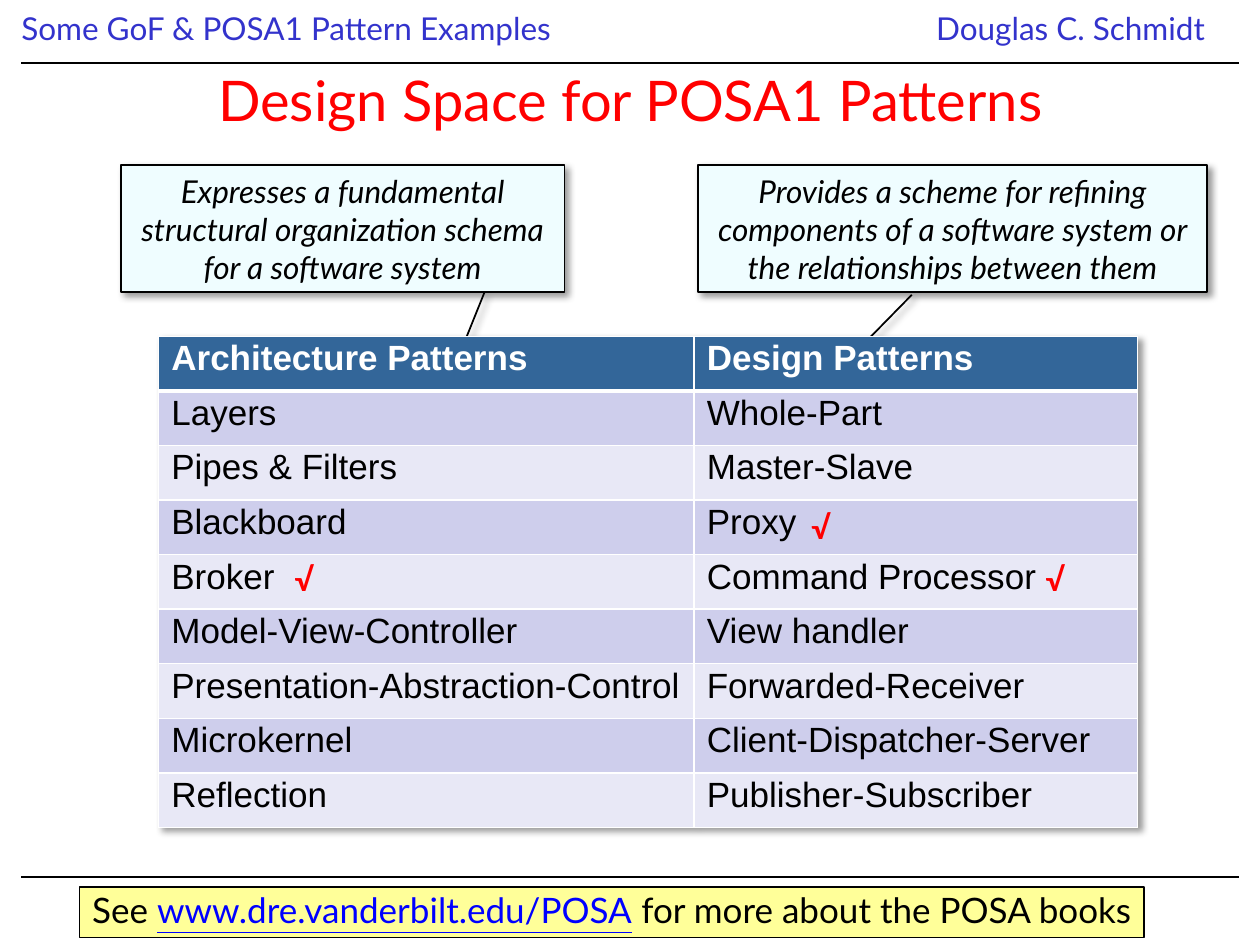
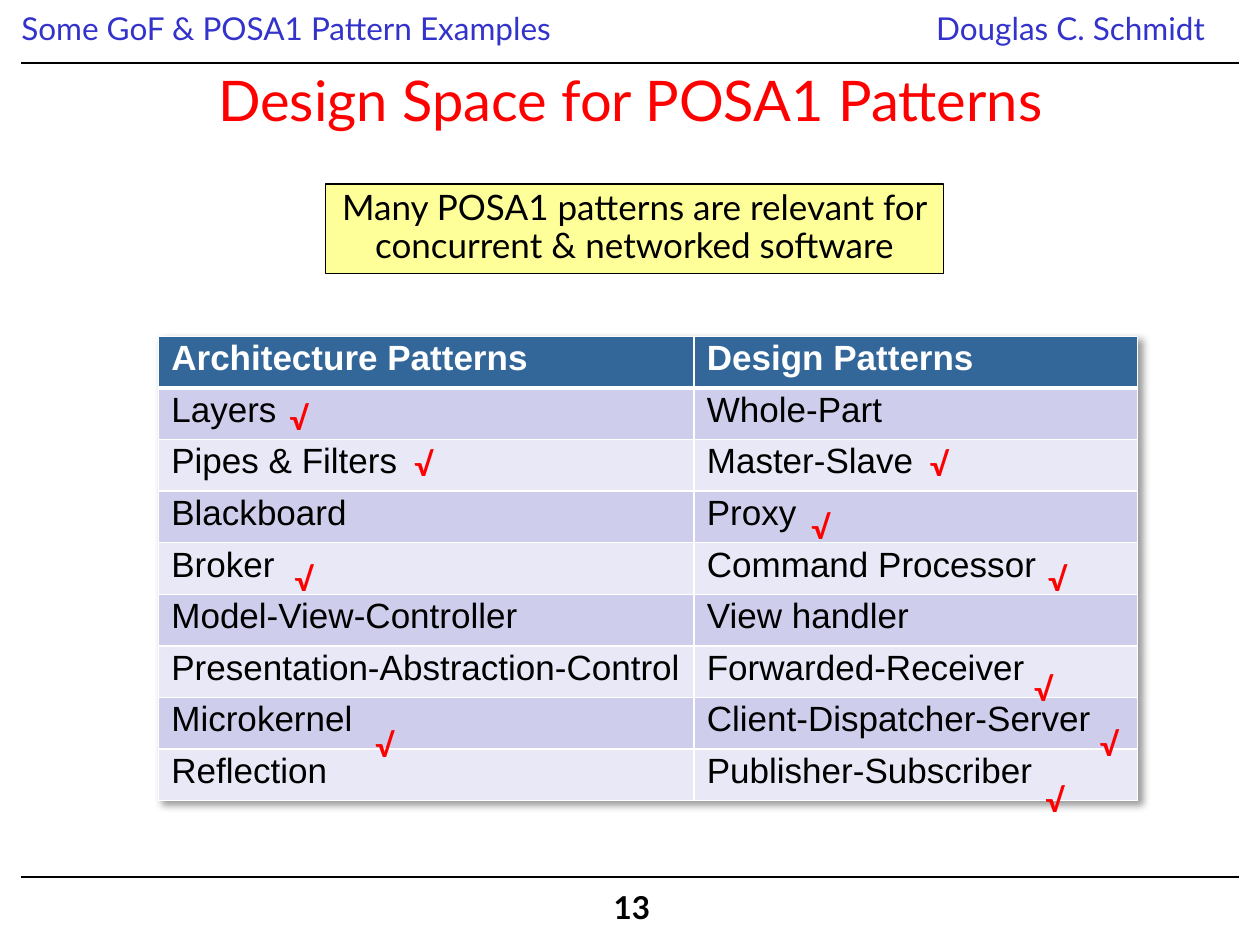
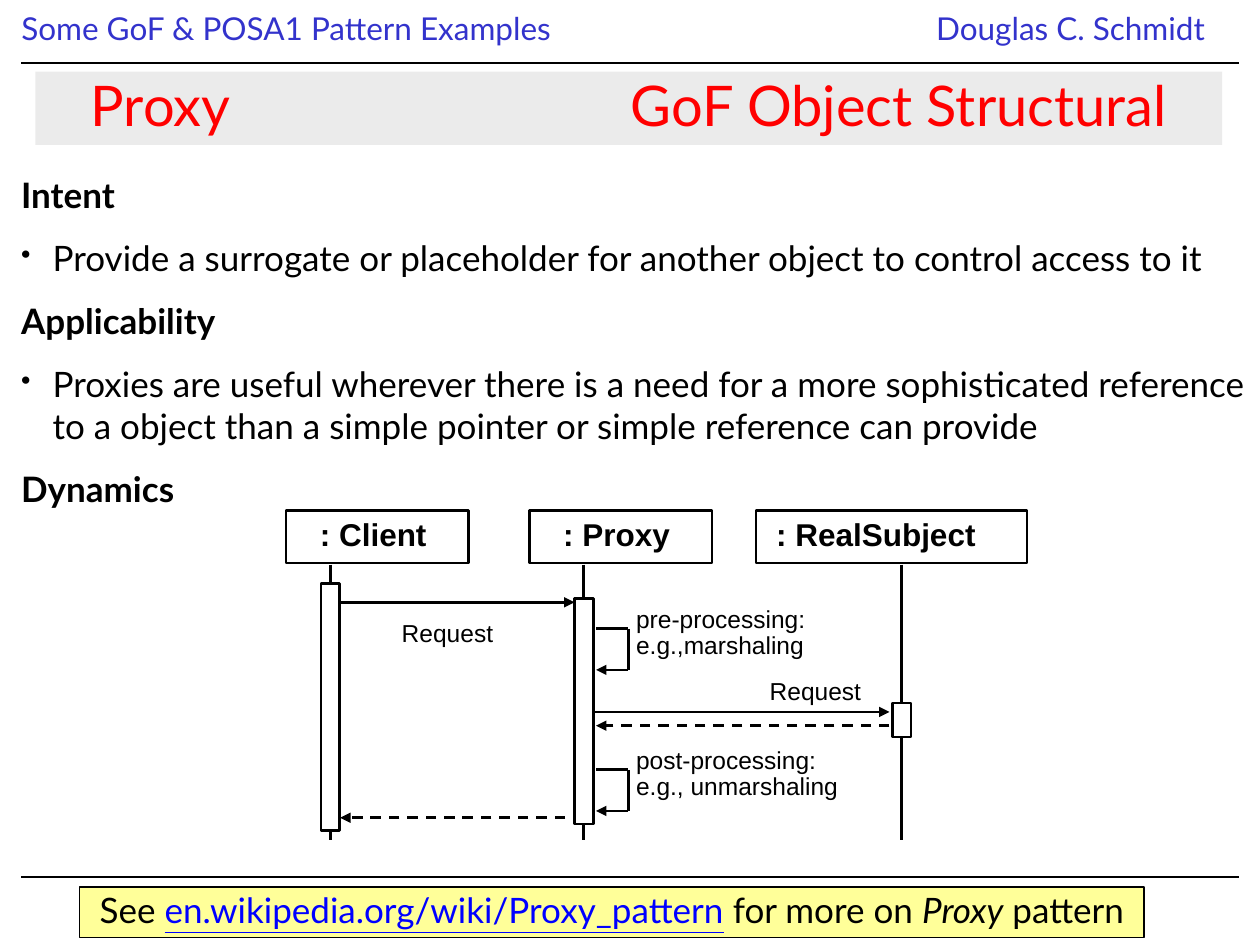
from dataclasses import dataclass
from typing import NamedTuple

from lxml import etree
from pptx import Presentation
from pptx import util as u
from pptx.dml import color as dml_color
from pptx.enum import dml, shapes, text
from pptx.oxml import ns

LATO, ARIAL = "Lato", "Arial"
BLACK, WHITE, RED, BLUE = "000000", "FFFFFF", "FF0000", "0000FF"
INDIGO, YELLOW, MINT, GREY = "3333CC", "FFFF99", "EFFDFF", "D9D9D9"
HEADER, ROW_FILLS = "336699", ("E8E8F6", "CECEEC")
LEFT, CENTER = text.PP_ALIGN.LEFT, text.PP_ALIGN.CENTER
TOP, MIDDLE = text.MSO_ANCHOR.TOP, text.MSO_ANCHOR.MIDDLE
RECTANGLE = shapes.MSO_SHAPE.RECTANGLE
POSA_TITLE = "Design Space for POSA1 Patterns"


class Rect(NamedTuple):
    left: float
    top: float
    width: float
    height: float

    def lengths(self) -> list[u.Pt]:
        return [u.Pt(value) for value in self]


class Span(NamedTuple):
    text: str
    color: str = BLACK
    italic: bool = False
    underline: bool = False


@dataclass
class Callout:
    rect: Rect
    text: str
    pointer: tuple[float, float, float, float]


@dataclass
class Participant:
    name: str
    left: float
    width: float
    inset: float
    axis: float
    bar_top: float
    bar_height: float


@dataclass
class Message:
    start: float
    end: float
    y: float
    dashed: bool = False


@dataclass
class SelfCall:
    top: float
    label: str
    label_top: float


TITLE = Rect(12.2, 41.8, 696.2, 30.2)
BANNER = Rect(20.2, 41, 678.2, 41.8)
FOOTNOTE = Rect(45.4, 506.9, 608.4, 28.8)
PATTERNS = [
    ("Architecture Patterns", "Design Patterns"),
    ("Layers", "Whole-Part"),
    ("Pipes & Filters", "Master-Slave"),
    ("Blackboard", "Proxy"),
    ("Broker", "Command Processor"),
    ("Model-View-Controller", "View handler"),
    ("Presentation-Abstraction-Control", "Forwarded-Receiver"),
    ("Microkernel", "Client-Dispatcher-Server"),
    ("Reflection", "Publisher-Subscriber"),
]
CALLOUTS = [
    Callout(Rect(69.1, 94.3, 253.4, 72.7),
            "Expresses a fundamental structural organization schema for a software system",
            (1, 0.82, 1.52, 0.76)),
    Callout(Rect(398.9, 94.3, 290.9, 72.7),
            "Provides a scheme for refining components of a software system "
            "or the relationships between them",
            (1.02, 0.42, 1.51, 0.3)),
]
GOF_MARKS = [(590.4, 319), (161.3, 319), (456.5, 289.4)]
NETWORK_MARKS = [
    (591.8, 319), (161.3, 319), (456.5, 289.4), (158.4, 226.8), (229.7, 253.4),
    (207.4, 414), (583.9, 381.6), (524.2, 253.4), (590.4, 445), (621.4, 413.3),
]
PARTICIPANTS = [
    Participant(": Client", 163.4, 104.4, 19.4, 188.8, 333.4, 141.1),
    Participant(": Proxy", 302.4, 104.4, 19.4, 333.6, 342, 128.9),
    Participant(": RealSubject", 432, 154.8, 11.5, 515.3, 401.8, 19.4),
]
MESSAGES = [
    Message(191.5, 328.3, 344.2),
    Message(331.9, 508.3, 406.8),
    Message(508.3, 340.6, 414.7, dashed=True),
    Message(333.4, 194.4, 467.3, dashed=True),
]
REQUESTS = [Rect(222.5, 351.4, 91.4, 22.3), Rect(432.7, 384.5, 72.7, 22.3)]
SELF_CALLS = [
    SelfCall(359.3, "pre-processing: e.g.,marshaling", 343.4),
    SelfCall(439.9, "post-processing: e.g., unmarshaling", 424.1),
]
PROXY_NOTES = [
    ("Intent", False),
    ("Provide a surrogate or placeholder for another object to control access to it", True),
    ("Applicability", False),
    ("Proxies are useful wherever there is a need for a more sophisticated reference "
     "to a object than a simple pointer or simple reference can provide", True),
    ("Dynamics", False),
]


def rgb(value: str) -> dml_color.RGBColor:
    return dml_color.RGBColor.from_string(value)


def child(parent, tag: str, **attributes):
    return etree.SubElement(parent, ns.qn(tag), **attributes)


def write(box, content: str | list[Span], *, size: float = 18, font: str = LATO,
          color: str = BLACK, bold: bool = False, italic: bool = False, align=LEFT,
          anchor=TOP, inset: tuple[float, float] = (7.2, 7.2), leading: float = 0.9,
          before: float = 0, bullet: bool = False, tab: float = 0) -> None:
    frame = box.text_frame
    frame.word_wrap = True
    frame.auto_size = text.MSO_AUTO_SIZE.NONE
    frame.vertical_anchor = anchor
    frame.margin_left, frame.margin_right = (u.Pt(side) for side in inset)
    frame.margin_top = frame.margin_bottom = u.Pt(3.6)
    para = frame.paragraphs[0]
    if para.runs:
        para = frame.add_paragraph()
        para.space_before = u.Pt(before)
    para.alignment = align
    para.line_spacing = leading
    properties = para._p.get_or_add_pPr()
    if bullet:
        properties.set("marL", str(u.Pt(18)))
        properties.set("indent", str(u.Pt(-18)))
        child(child(properties, "a:buClr"), "a:srgbClr", val=color)
        child(properties, "a:buSzPct", val="80000")
        child(properties, "a:buChar", char="•")
    if tab:
        child(child(properties, "a:tabLst"), "a:tab", pos=str(u.Pt(tab)), algn="l")
    for part in [Span(content, color, italic)] if isinstance(content, str) else content:
        span = para.add_run()
        span.text = part.text
        span.font.name = font
        span.font.size = u.Pt(size)
        span.font.bold = bold
        span.font.italic = part.italic
        span.font.underline = part.underline
        span.font.color.rgb = rgb(part.color)


def add_text(page, rect: Rect, content: str, **style) -> None:
    write(page.shapes.add_textbox(*rect.lengths()), content, **style)


def add_panel(page, rect: Rect, fill: str, weight: float, kind=RECTANGLE):
    panel = page.shapes.add_shape(kind, *rect.lengths())
    panel.shadow.inherit = False
    panel.fill.solid()
    panel.fill.fore_color.rgb = rgb(fill)
    panel.line.color.rgb = rgb(BLACK)
    panel.line.width = u.Pt(weight)
    return panel


def add_line(page, x1: float, y1: float, x2: float, y2: float, *, weight: float = 1.5,
             arrow: bool = False, dashed: bool = False) -> None:
    line = page.shapes.add_connector(
        shapes.MSO_CONNECTOR.STRAIGHT, *(u.Pt(value) for value in (x1, y1, x2, y2)))
    line.line.color.rgb = rgb(BLACK)
    line.line.width = u.Pt(weight)
    if dashed:
        line.line.dash_style = dml.MSO_LINE.DASH
    properties = line._element.spPr
    if arrow:
        child(properties.find(ns.qn("a:ln")), "a:tailEnd", type="triangle")
    child(properties, "a:effectLst")


def add_shadow(effects) -> None:
    shadow = child(effects, "a:outerShdw", blurRad=str(u.Pt(4)), dist=str(u.Pt(3)),
                   dir="2700000", algn="tl", rotWithShape="0")
    child(child(shadow, "a:srgbClr", val=BLACK), "a:alpha", val="40000")


def add_note(page, rect: Rect, content: str | list[Span]) -> None:
    write(add_panel(page, rect, YELLOW, 0.75), content, size=20, align=CENTER, inset=(4, 4))


def add_page(deck, title: str, rect: Rect, **style):
    page = deck.slides.add_slide(deck.slide_layouts[5])
    heading = page.shapes.title
    heading.left, heading.top, heading.width, heading.height = rect.lengths()
    write(heading, title, size=32, color=RED, anchor=MIDDLE, **style)
    add_text(page, Rect(12.2, 4.3, 426.2, 26.6), "Some GoF & POSA1 Pattern Examples",
             color=INDIGO, inset=(0, 0))
    add_text(page, Rect(527.8, 4.3, 180.7, 28.8), "Douglas C. Schmidt", color=INDIGO)
    for y in (36, 501.1):
        add_line(page, 12.2, y, 707.8, y, weight=0.75)
    return page


def add_callout(page, callout: Callout) -> None:
    box = add_panel(page, callout.rect, MINT, 1, shapes.MSO_SHAPE.LINE_CALLOUT_1)
    for index, value in enumerate(callout.pointer):
        box.adjustments[index] = value
    add_shadow(box._element.spPr.find(ns.qn("a:effectLst")))
    write(box, callout.text, italic=True, align=CENTER, anchor=MIDDLE, leading=1)


def add_borders(cell, row: int) -> None:
    properties = cell._tc.get_or_add_tcPr()
    widths = {"L": 1, "R": 1, "T": 3 if row == 1 else 1, "B": 3 if row == 0 else 1}
    for side, width in widths.items():
        edge = child(properties, f"a:ln{side}", w=str(u.Pt(width)))
        child(child(edge, "a:solidFill"), "a:srgbClr", val=WHITE)


def add_patterns(page, row_height: float, marks: list[tuple[float, float]]) -> None:
    rect = Rect(90.7, 192.2, 559.4, row_height * len(PATTERNS))
    table = page.shapes.add_table(len(PATTERNS), 2, *rect.lengths()).table
    effects = child(table._tbl.tblPr, "a:effectLst")
    add_shadow(effects)
    table._tbl.tblPr.insert(0, effects)
    for column, width in zip(table.columns, (306, 253.4)):
        column.width = u.Pt(width)
    for row, names in enumerate(PATTERNS):
        table.rows[row].height = u.Pt(row_height)
        for column, name in enumerate(names):
            cell = table.cell(row, column)
            add_borders(cell, row)
            cell.fill.solid()
            cell.fill.fore_color.rgb = rgb(ROW_FILLS[row % 2] if row else HEADER)
            para = cell.text_frame.paragraphs[0]
            para.line_spacing = 0.9
            span = para.add_run()
            span.text = name
            span.font.name = ARIAL
            span.font.size = u.Pt(20)
            span.font.bold = row == 0
            span.font.color.rgb = rgb(BLACK if row else WHITE)
    for left, top in marks:
        add_text(page, Rect(left, top, 29.5, 26.6), "√", color=RED, bold=True)


def add_sequence(page) -> None:
    for person in PARTICIPANTS:
        box = add_panel(page, Rect(person.left, 291.6, person.width, 30.2), WHITE, 1.5)
        write(box, person.name, font=ARIAL, bold=True, anchor=MIDDLE, inset=(person.inset, 0))
        add_line(page, person.axis, 322.6, person.axis, 480.2)
    for message in MESSAGES:
        add_line(page, message.start, message.y, message.end, message.y,
                 arrow=True, dashed=message.dashed)
    for rect in REQUESTS:
        add_text(page, rect, "Request", size=14, font=ARIAL)
    near, far = 340.6, 359
    for call in SELF_CALLS:
        bottom = call.top + 23.5
        add_line(page, near, call.top, far, call.top)
        add_line(page, far, call.top, far, bottom)
        add_line(page, far, bottom, near, bottom, arrow=True)
        add_text(page, Rect(356.4, call.label_top, 135, 38.2), call.label, size=14, font=ARIAL)
    for person in PARTICIPANTS:
        add_panel(page, Rect(person.axis - 5.4, person.bar_top, 10.8, person.bar_height),
                  WHITE, 1.5)


def build_gof_slide(deck) -> None:
    page = add_page(deck, POSA_TITLE, TITLE, align=CENTER, leading=1)
    for callout in CALLOUTS:
        add_callout(page, callout)
    add_patterns(page, 31.2, GOF_MARKS)
    add_note(page, FOOTNOTE, [
        Span("See "),
        Span("www.dre.vanderbilt.edu/POSA", BLUE, underline=True),
        Span(" for more about the POSA books"),
    ])


def build_network_slide(deck) -> None:
    page = add_page(deck, POSA_TITLE, TITLE, align=CENTER, leading=1)
    add_note(page, Rect(185.8, 105.1, 353.5, 51.1),
             "Many POSA1 patterns are relevant for concurrent & networked software")
    add_patterns(page, 29.5, NETWORK_MARKS)
    add_text(page, Rect(342.7, 506.2, 36.7, 28.8), "13", bold=True, align=CENTER, inset=(0, 0))


def build_proxy_slide(deck) -> None:
    page = add_page(deck, "Proxy\tGoF Object Structural", BANNER, inset=(31.7, 7.2), tab=308.5)
    banner = page.shapes.title
    banner.fill.solid()
    banner.fill.fore_color.rgb = rgb(GREY)
    child(banner._element.spPr.find(".//" + ns.qn("a:srgbClr")), "a:alpha", val="50000")
    notes = page.shapes.add_textbox(*Rect(5, 95.8, 715, 194.4).lengths())
    for content, bullet in PROXY_NOTES:
        write(notes, content, size=20, bold=not bullet, bullet=bullet, before=12,
              leading=1, inset=(7.2, 0))
    add_sequence(page)
    add_note(page, FOOTNOTE, [
        Span("See "),
        Span("en.wikipedia.org/wiki/Proxy_pattern", BLUE, underline=True),
        Span(" for more on "),
        Span("Proxy", italic=True),
        Span(" pattern"),
    ])


def main() -> None:
    deck = Presentation()
    deck.slide_width, deck.slide_height = u.Pt(720), u.Pt(540)
    build_gof_slide(deck)
    build_network_slide(deck)
    build_proxy_slide(deck)
    deck.save("out.pptx")


if __name__ == "__main__":
    main()
